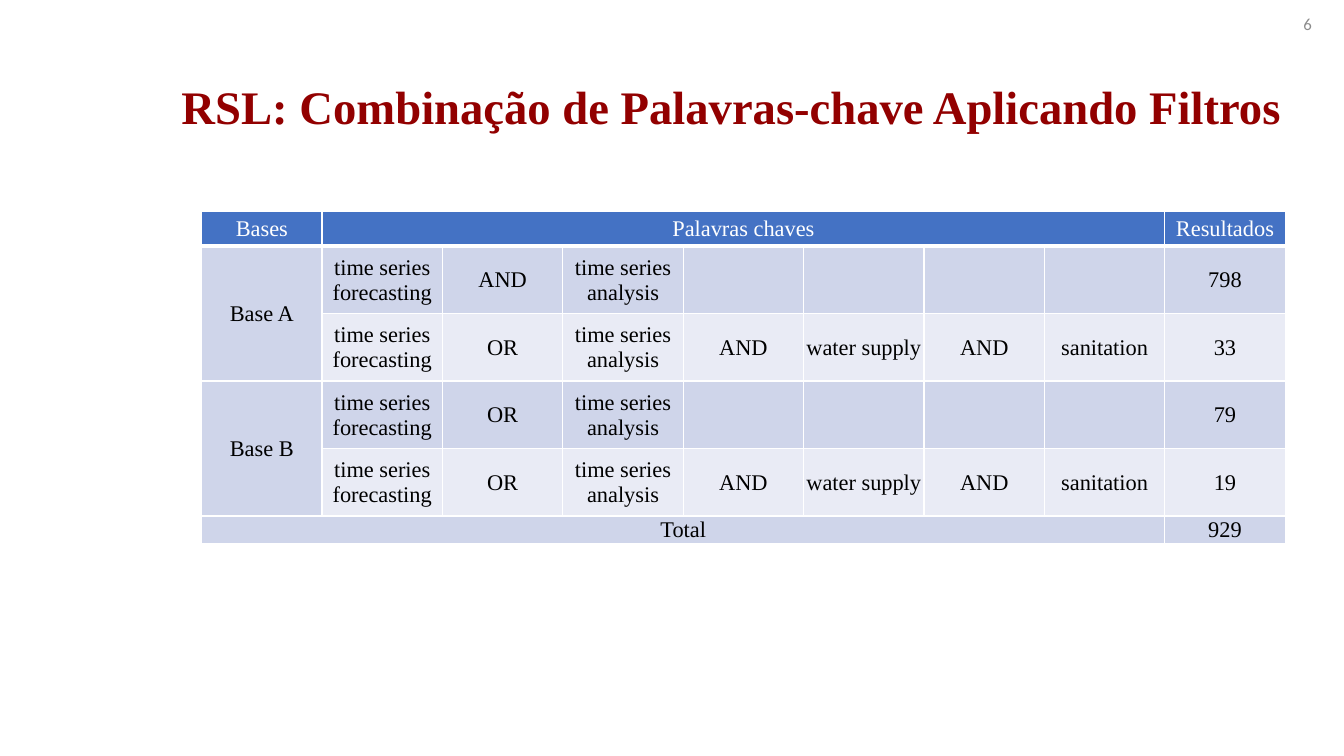
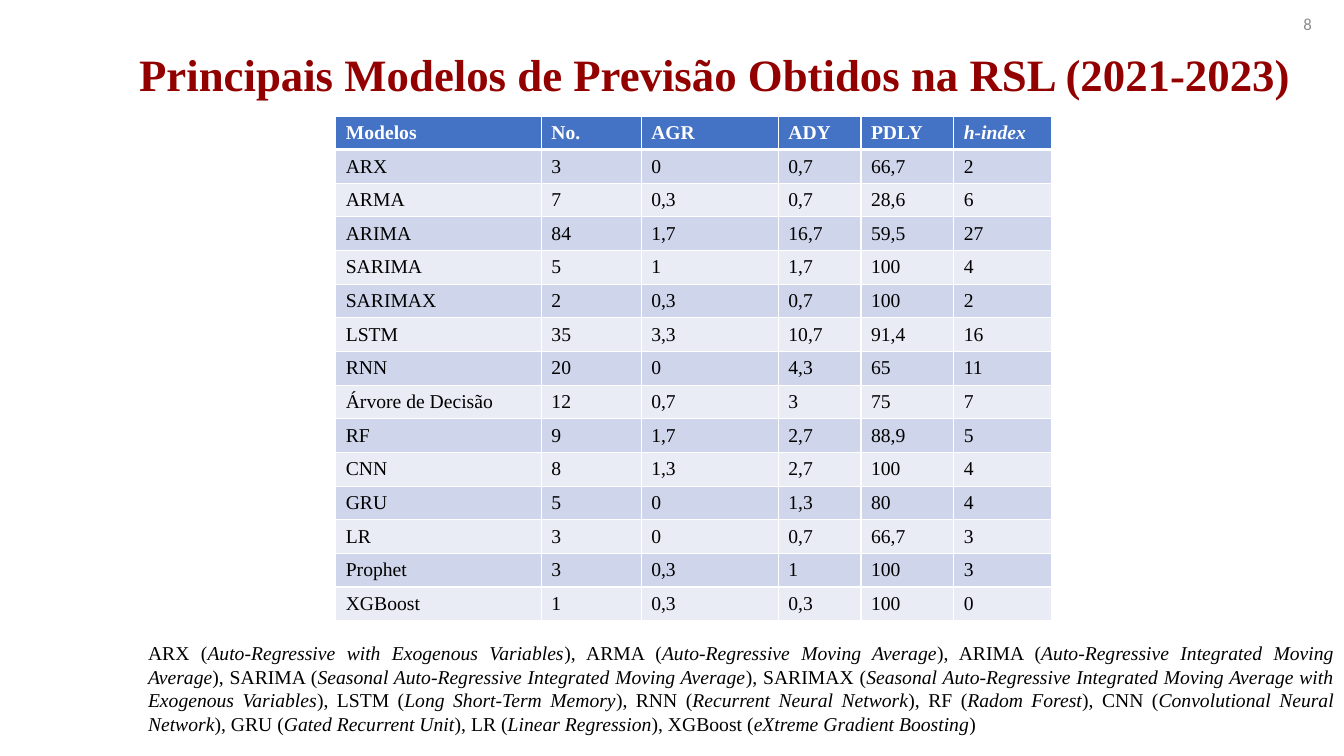
from lxml.etree import SubElement
from pptx import Presentation
from pptx.dml.color import RGBColor
from pptx.enum.text import MSO_ANCHOR as Anchor, PP_ALIGN as Align
from pptx.oxml.ns import qn
from pptx.util import Inches, Pt

DARK_RED = RGBColor(0x92, 0x00, 0x00)
GRAY = RGBColor(0x8C, 0x8C, 0x8C)
BLACK = RGBColor(0x00, 0x00, 0x00)
WHITE = RGBColor(0xFF, 0xFF, 0xFF)
HEADER_BLUE = RGBColor(0x44, 0x72, 0xC4)
BANDS = (RGBColor(0xE9, 0xEB, 0xF5), RGBColor(0xCF, 0xD5, 0xEA))
SERIF = "Times New Roman"

FORECASTING, ANALYSIS = "time series forecasting", "time series analysis"
WATER_TERMS = ["AND", "water supply", "AND", "sanitation"]
NO_TERMS = [""] * 4

SEARCH_ROWS = [
    ["Bases", "Palavras chaves"] + [""] * 6 + ["Resultados"],
    ["Base A", FORECASTING, "AND", ANALYSIS, *NO_TERMS, "798"],
    ["", FORECASTING, "OR", ANALYSIS, *WATER_TERMS, "33"],
    ["Base B", FORECASTING, "OR", ANALYSIS, *NO_TERMS, "79"],
    ["", FORECASTING, "OR", ANALYSIS, *WATER_TERMS, "19"],
    ["Total"] + [""] * 7 + ["929"],
]
SEARCH_MERGES = [((0, 1), (0, 7)), ((1, 0), (2, 0)), ((3, 0), (4, 0)), ((5, 0), (5, 7))]

MODEL_ROWS = [
    ["Modelos", "No.", "AGR", "ADY", "PDLY", "*h-index*"],
    ["ARX", "3", "0", "0,7", "66,7", "2"],
    ["ARMA", "7", "0,3", "0,7", "28,6", "6"],
    ["ARIMA", "84", "1,7", "16,7", "59,5", "27"],
    ["SARIMA", "5", "1", "1,7", "100", "4"],
    ["SARIMAX", "2", "0,3", "0,7", "100", "2"],
    ["LSTM", "35", "3,3", "10,7", "91,4", "16"],
    ["RNN", "20", "0", "4,3", "65", "11"],
    ["Árvore de Decisão", "12", "0,7", "3", "75", "7"],
    ["RF", "9", "1,7", "2,7", "88,9", "5"],
    ["CNN", "8", "1,3", "2,7", "100", "4"],
    ["GRU", "5", "0", "1,3", "80", "4"],
    ["LR", "3", "0", "0,7", "66,7", "3"],
    ["Prophet", "3", "0,3", "1", "100", "3"],
    ["XGBoost", "1", "0,3", "0,3", "100", "0"],
]

ACRONYMS = (
    "ARX (*Auto-Regressive with Exogenous Variables*), "
    "ARMA (*Auto-Regressive Moving Average*), "
    "ARIMA (*Auto-Regressive Integrated Moving Average*), "
    "SARIMA (*Seasonal Auto-Regressive Integrated Moving Average*), "
    "SARIMAX (*Seasonal Auto-Regressive Integrated Moving Average with Exogenous Variables*), "
    "LSTM (*Long Short-Term Memory*), RNN (*Recurrent Neural Network*), "
    "RF (*Radom Forest*), CNN (*Convolutional Neural Network*), "
    "GRU (*Gated Recurrent Unit*), LR (*Linear Regression*), "
    "XGBoost (*eXtreme Gradient Boosting*)"
)


def write(frame, text, size=14, color=BLACK, bold=False, font=SERIF, align=Align.LEFT, spacing=None):
    """Write one paragraph, with the parts between asterisks in italics."""
    paragraph = frame.paragraphs[0]
    paragraph.alignment = align
    paragraph.line_spacing = spacing
    for index, part in enumerate(text.split("*")):
        if part:
            run = paragraph.add_run()
            run.text = part
            run.font.name = font
            run.font.size = Pt(size)
            run.font.bold = bold
            run.font.italic = index % 2 == 1
            run.font.color.rgb = color


def set_borders(cell, top, bottom):
    """Draw white borders around a table cell."""
    properties = cell._tc.get_or_add_tcPr()
    for side, width in (("L", 1), ("R", 1), ("T", top), ("B", bottom)):
        line = SubElement(properties, qn(f"a:ln{side}"), w=str(Pt(width)))
        fill = SubElement(line, qn("a:solidFill"))
        SubElement(fill, qn("a:srgbClr"), val=str(WHITE))


class Deck:
    """Hold the shared style and the current slide."""

    def __init__(self):
        self.presentation = Presentation()
        self.presentation.slide_width = Inches(13.33)
        self.presentation.slide_height = Inches(7.5)
        self.slide = None

    def add_slide(self, number):
        """Start a slide with its page number."""
        self.slide = self.presentation.slides.add_slide(self.presentation.slide_layouts[6])
        self.add_text(str(number), (10.11, 0.04, 3, 0.4), anchor=Anchor.MIDDLE,
                      size=12, color=GRAY, font="Calibri", align=Align.RIGHT)

    def add_text(self, text, box, anchor=Anchor.TOP, inset=True, **style):
        """Add a wrapped text box."""
        frame = self.slide.shapes.add_textbox(*map(Inches, box)).text_frame
        frame.word_wrap = True
        frame.vertical_anchor = anchor
        if not inset:
            frame.margin_left = frame.margin_right = frame.margin_top = frame.margin_bottom = 0
        write(frame, text, **style)

    def add_title(self, text, box, size, spacing):
        """Add the dark red slide title."""
        self.add_text(text, box, anchor=Anchor.BOTTOM, inset=False,
                      size=size, color=DARK_RED, bold=True, spacing=spacing)

    def add_table(self, rows, left, top, widths, heights, merges=(), tight=False, bold_header=False, **style):
        """Add a banded table with a blue header."""
        shape = self.slide.shapes.add_table(len(rows), len(widths), Inches(left), Inches(top),
                                            Inches(sum(widths)), Inches(sum(heights)))
        table = shape.table
        for column, width in zip(table.columns, widths):
            column.width = Inches(width)
        for row, height in zip(table.rows, heights):
            row.height = Inches(height)
        for row_index, texts in enumerate(rows):
            header = row_index == 0
            for column_index, text in enumerate(texts):
                cell = table.cell(row_index, column_index)
                cell.vertical_anchor = Anchor.MIDDLE
                if tight:
                    cell.margin_left = cell.margin_right = cell.margin_top = Inches(0.01)
                    cell.margin_bottom = 0
                set_borders(cell, top=3 if row_index == 1 else 1, bottom=3 if header else 1)
                cell.fill.solid()
                cell.fill.fore_color.rgb = HEADER_BLUE if header else BANDS[row_index % 2]
                write(cell.text_frame, text, color=WHITE if header else BLACK,
                      bold=header and bold_header, **style)
        for first, last in merges:
            table.cell(*first).merge(table.cell(*last))


def main():
    """Build and save the two slides."""
    deck = Deck()

    deck.add_slide(6)
    deck.add_title("RSL: Combinação de Palavras-chave Aplicando Filtros",
                   (1.8, 0.44, 11.13, 0.89), size=33.3, spacing=1.1)
    deck.add_table(SEARCH_ROWS, 2, 2.1, widths=[10.75 / 9] * 9, heights=[0.34] + [0.67] * 4 + [0.25],
                   merges=SEARCH_MERGES, tight=True, size=16, align=Align.CENTER)

    deck.add_slide(8)
    deck.add_title("Principais Modelos de Previsão Obtidos na RSL (2021-2023)",
                   (1.38, 0.19, 11.62, 0.81), size=32, spacing=1.2)
    deck.add_table(MODEL_ROWS, 3.33, 1.15, widths=[2.04, 0.99, 1.36, 0.82, 0.92, 0.97],
                   heights=[0.3] * len(MODEL_ROWS), bold_header=True)
    deck.add_text(ACRONYMS, (1.37, 6.31, 11.96, 1.04), align=Align.JUSTIFY)

    deck.presentation.save("out.pptx")


if __name__ == "__main__":
    main()
